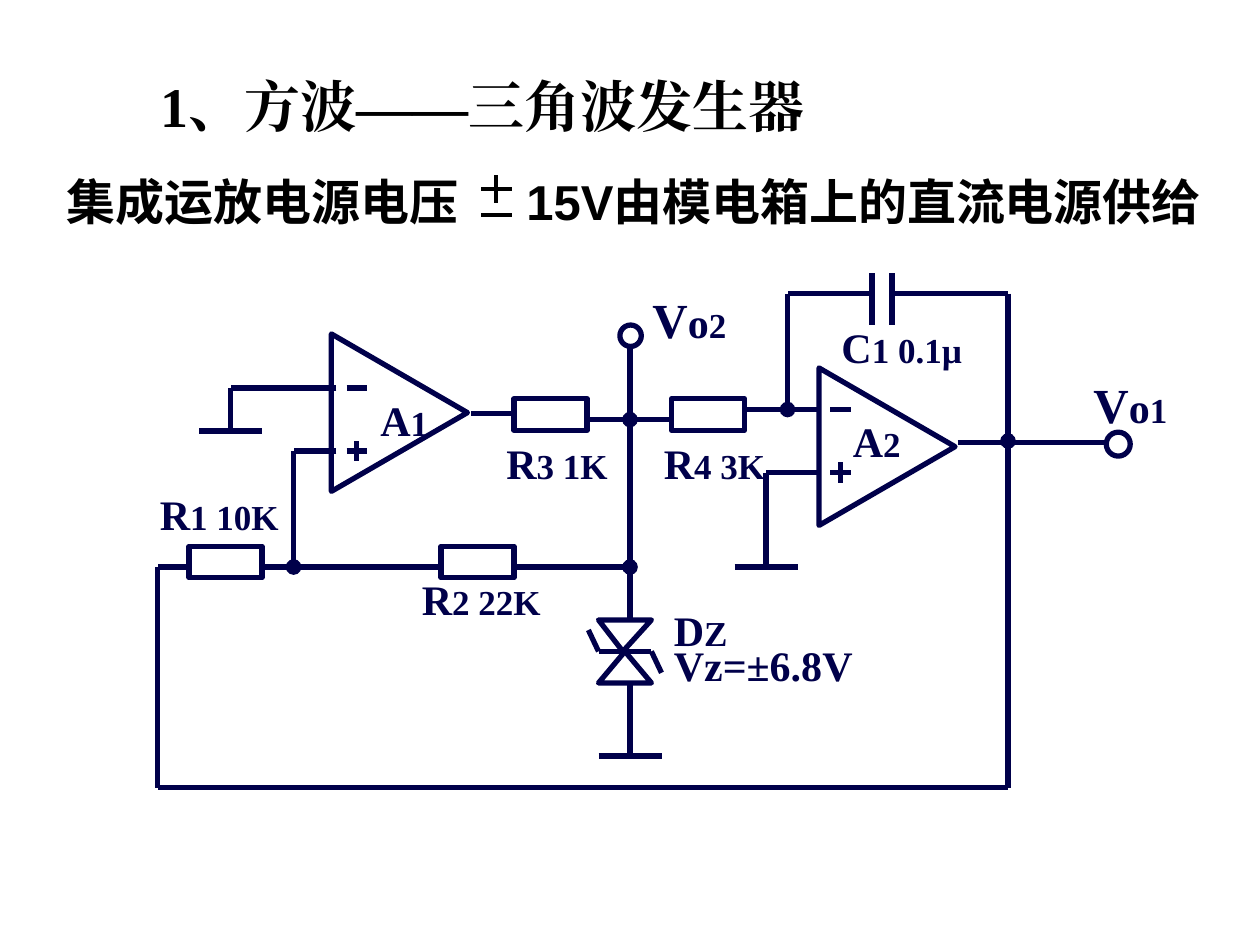
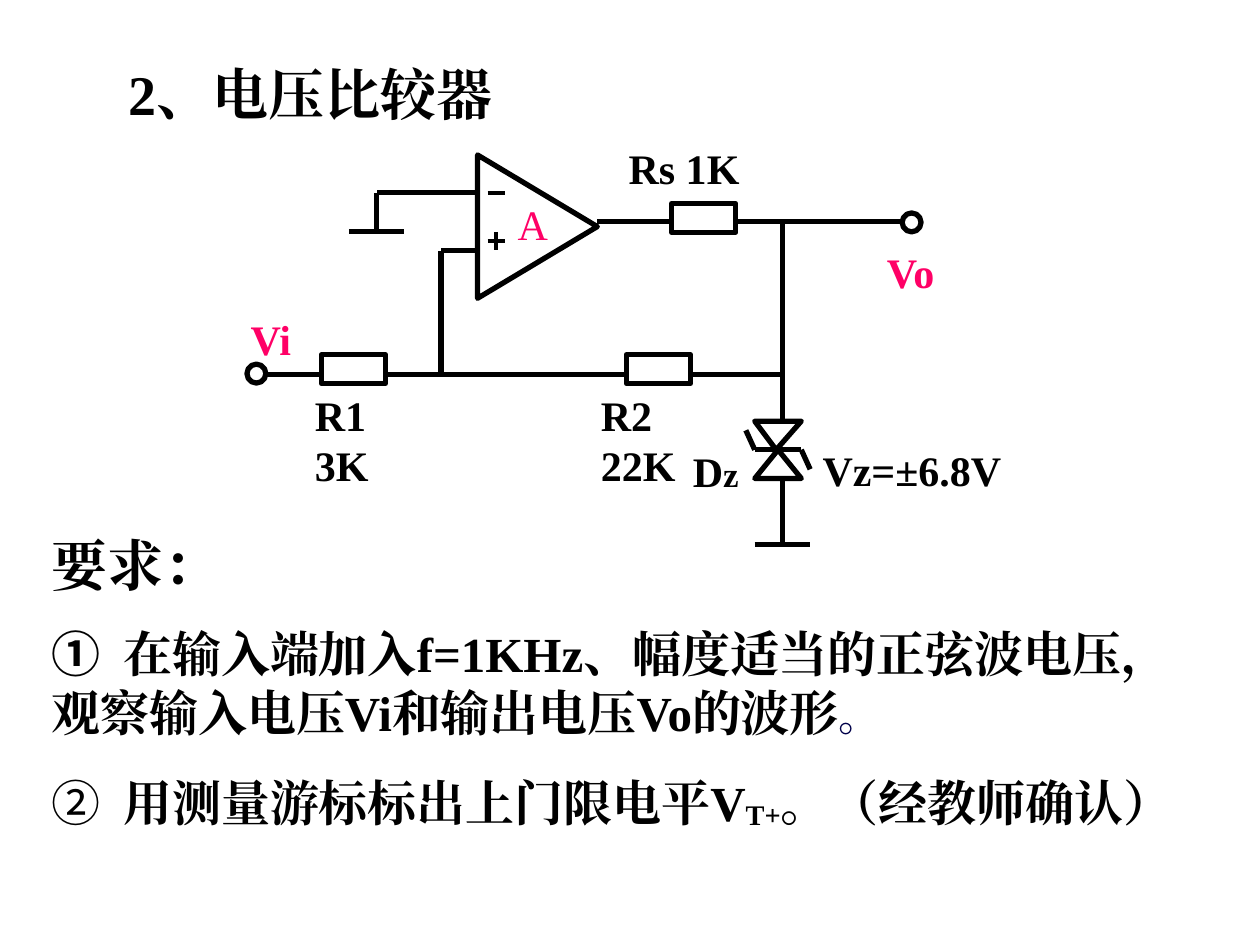
"""Build two slides of op-amp circuits: a waveform generator and a voltage comparator."""
import itertools

import lxml.etree
import pptx
import pptx.dml.color
import pptx.enum.shapes
import pptx.enum.text
import pptx.oxml.ns
import pptx.util

Inches = pptx.util.Inches
SHAPES = pptx.enum.shapes.MSO_SHAPE

NAVY, BLACK, PINK = "00004A", "000000", "FF0066"
SERIF, SANS, CHINESE = "Times New Roman", "Arial", "Noto Sans CJK SC"
LINE_WIDTH = 3

AMPLIFIER = (1.08, 1.25)
RESISTOR = (0.58, 0.25)
ZENER = (0.42, 0.25)
ZENER_HOOK = (0.08, 0.17)
GROUND_HALF = 0.25
SIGN_HALF = 0.08

GENERATOR = {
    "title": ("1、方波——三角波发生器", (1.17, 0.52, 5.8, 0.64)),
    "ink": NAVY,
    "scale": (1, 1),
    "sign_width": 3,
    "amplifiers": [
        {"corner": (2.63, 2.65), "sign_x": 2.83, "minus_y": 3.08, "plus_y": 3.58},
        {"corner": (6.5, 2.92), "sign_x": 6.67, "minus_y": 3.25, "plus_y": 3.75},
    ],
    "resistors": [(1.5, 4.46), (3.5, 4.46), (4.08, 3.29), (5.33, 3.29)],
    "zener": (4.75, 5.17),
    "grounds": [(1.83, 3.42), (6.08, 4.5), (5, 6)],
    "terminals": [(8.78, 3.43, 0.19), (4.92, 2.58, 0.17)],
    "wires": [
        [(2.67, 3.08), (1.83, 3.08), (1.83, 3.42)],
        [(3.74, 3.28), (4.07, 3.28)],
        [(4.67, 3.33), (5.33, 3.33)],
        [(5, 3.33), (5, 4.92)],
        [(2.08, 4.5), (3.5, 4.5)],
        [(1.5, 4.5), (1.25, 4.5), (1.25, 6.25), (8, 6.25), (8, 3.51)],
        [(5, 5.42), (5, 6)],
        [(5.92, 3.25), (6.5, 3.25)],
        [(7.6, 3.51), (8.77, 3.51)],
        [(6.5, 3.75), (6.08, 3.75), (6.08, 4.5)],
        [(6.92, 2.17), (6.92, 2.58)],
        [(7.08, 2.17), (7.08, 2.58)],
    ],
    "junction_wires": [
        [(2.67, 3.58), (2.33, 3.58), (2.33, 4.5)],
        [(4.08, 4.5), (5, 4.5)],
        [(5, 2.75), (5, 3.33)],
        [(6.92, 2.33), (6.25, 2.33), (6.25, 3.25)],
        [(7.08, 2.33), (8, 2.33), (8, 3.5)],
    ],
    "labels": [
        ((8.58, 2.92, 0.92, 0.57), NAVY, [("V", 28), ("o", 24), ("1", 20)]),
        ((5.08, 2.25, 0.92, 0.57), NAVY, [("V", 28), ("o", 24), ("2", 20)]),
        ((2.92, 3.08, 0.75, 0.5), NAVY, [("A", 24), ("1", 20)]),
        ((6.67, 3.25, 0.75, 0.5), NAVY, [("A", 24), ("2", 20)]),
        ((6.58, 2.5, 1.42, 0.5), NAVY, [("C", 24), ("1 0.1µ", 20)]),
        ((1.17, 3.83, 1.5, 0.5), NAVY, [("R", 24), ("1 10K", 20)]),
        ((3.25, 4.5, 1.5, 0.5), NAVY, [("R", 24), ("2 22K", 20)]),
        ((3.92, 3.42, 1.5, 0.5), NAVY, [("R", 24), ("3 1K", 20)]),
        ((5.17, 3.42, 1.5, 0.5), NAVY, [("R", 24), ("4 3K", 20)]),
        ((5.25, 4.75, 0.75, 0.5), NAVY, [("D", 24), ("Z", 20)]),
        ((5.25, 5.03, 1.8, 0.5), NAVY, [("Vz=±6.8V", 24)]),
    ],
}

COMPARATOR = {
    "title": ("2、电压比较器", (0.92, 0.42, 5.67, 0.64)),
    "ink": BLACK,
    "scale": (0.88, 0.91),
    "sign_width": 2.25,
    "amplifiers": [
        {"corner": (3.79, 1.23), "sign_x": 3.94, "minus_y": 1.53, "plus_y": 1.91},
    ],
    "resistors": [(2.55, 2.93), (4.97, 2.93), (5.33, 1.73)],
    "zener": (5.99, 3.57),
    "grounds": [(2.99, 1.84), (6.21, 4.32)],
    "terminals": [(7.16, 1.69, 0.15), (1.96, 2.89, 0.15)],
    "wires": [
        [(3.79, 1.53), (2.99, 1.53), (2.99, 1.84)],
        [(3.79, 1.99), (3.5, 1.99), (3.5, 2.97)],
        [(4.74, 1.76), (5.33, 1.76)],
        [(5.84, 1.76), (7.16, 1.76)],
        [(6.21, 1.76), (6.21, 3.34)],
        [(2.11, 2.97), (2.55, 2.97)],
        [(3.06, 2.97), (4.97, 2.97)],
        [(5.48, 2.97), (6.21, 2.97)],
        [(6.21, 3.8), (6.21, 4.32)],
    ],
    "junction_wires": [],
    "labels": [
        ((4.01, 1.53, 0.5, 0.5), PINK, [("A", 24, {"bold": False})]),
        ((1.89, 2.44, 0.59, 0.5), PINK, [("Vi", 24)]),
        ((6.94, 1.91, 0.72, 0.5), PINK, [("Vo", 24)]),
        ((4.67, 3.04, 1.24, 0.9), BLACK, [("R2 22K", 24)]),
        ((4.89, 1.08, 1.28, 0.5), BLACK, [("Rs 1K", 24)]),
        ((2.4, 3.04, 0.95, 0.9), BLACK, [("R1 3K", 24)]),
        ((6.43, 3.48, 1.74, 0.5), BLACK, [("Vz=±6.8V", 24)]),
        ((5.4, 3.49, 0.66, 0.5), BLACK, [("D", 24), ("z", 20)]),
    ],
}

SUPPLY_BOX = (0.43, 1.31, 9.45, 0.57)
SUPPLY_TAB = 3.65
SUPPLY = [("集成运放电源电压\t15V由模电箱上的直流电源供给", 28, {"name": SANS})]
PLUS_MINUS = [
    [(3.82, 1.5), (4.06, 1.5)],
    [(3.94, 1.39), (3.94, 1.61)],
    [(3.82, 1.71), (4.06, 1.71)],
]

TASKS_BOX = (0.31, 4.16, 9.3, 2.49)
TASKS_TAB = 0.57
TASKS = [
    (0, [("要求：", 32)]),
    (15, [
        ("①", 28, {"name": CHINESE}),
        ("\t在输入端加入f=1KHz、幅度适当的正弦波电压，观察输入电压Vi和输出电压Vo的波形", 28),
        ("。", 24, {"bold": False, "color": NAVY}),
    ]),
    (17.5, [
        ("②", 28, {"name": CHINESE, "bold": False}),
        ("\t用测量游标标出上门限电平V", 28),
        ("T+", 28, {"baseline": -10}),
        ("。（经教师确认）", 28),
    ]),
]


def rgb(color):
    """Turn a hex string into a colour."""
    return pptx.dml.color.RGBColor.from_string(color)


def add_element(parent, tag, **attributes):
    """Append a drawing element to its parent."""
    return lxml.etree.SubElement(parent, pptx.oxml.ns.qn(tag), attributes)


def add_run(paragraph, text, size, color, name=SERIF, bold=True, baseline=0):
    """Add one formatted run, with the same typeface for both scripts."""
    run = paragraph.add_run()
    run.text = text
    run.font.size = pptx.util.Pt(size)
    run.font.bold = bold
    run.font.color.rgb = rgb(color)
    run.font.name = name
    properties = run._r.get_or_add_rPr()
    add_element(properties, "a:ea", typeface=name)
    if baseline:
        properties.set("baseline", str(baseline * 1000))


def fill_paragraph(paragraph, runs, color, tab=None):
    """Set the tab stop and add the runs."""
    if tab:
        stops = add_element(paragraph._p.get_or_add_pPr(), "a:tabLst")
        add_element(stops, "a:tab", pos=str(Inches(tab)), algn="l")
    for text, size, *options in runs:
        add_run(paragraph, text, size, **{"color": color, **(options[0] if options else {})})


def add_text(slide, box, color, paragraphs, tab=None):
    """Add a wrapped text box of (space before, runs) paragraphs."""
    frame = slide.shapes.add_textbox(*map(Inches, box)).text_frame
    frame.word_wrap = True
    for index, (space, runs) in enumerate(paragraphs):
        paragraph = frame.add_paragraph() if index else frame.paragraphs[0]
        fill_paragraph(paragraph, runs, color, tab)
        if space:
            paragraph.space_before = pptx.util.Pt(space)


def add_title(slide, text, box):
    """Place and fill the title placeholder."""
    title = slide.shapes.title
    title.left, title.top, title.width, title.height = map(Inches, box)
    title.text_frame.vertical_anchor = pptx.enum.text.MSO_ANCHOR.TOP
    paragraph = title.text_frame.paragraphs[0]
    paragraph.alignment = pptx.enum.text.PP_ALIGN.LEFT
    fill_paragraph(paragraph, [(text, 32)], BLACK)


def add_wire(slide, points, ink, width=LINE_WIDTH, junction=False):
    """Join the points by straight lines, with a dot at the end of a junction wire."""
    for start, end in itertools.pairwise(points):
        connector = slide.shapes.add_connector(
            pptx.enum.shapes.MSO_CONNECTOR.STRAIGHT, *map(Inches, start + end))
        connector.line.color.rgb = rgb(ink)
        connector.line.width = pptx.util.Pt(width)
        if junction and end == points[-1]:
            add_element(connector.line._get_or_add_ln(), "a:tailEnd", type="oval")
        add_element(connector._element.spPr, "a:effectLst")


def add_outline(slide, kind, box, ink, rotation=0):
    """Add an unfilled preset shape."""
    shape = slide.shapes.add_shape(kind, *map(Inches, box))
    shape.shadow.inherit = False
    shape.fill.background()
    shape.line.color.rgb = rgb(ink)
    shape.line.width = pptx.util.Pt(LINE_WIDTH)
    shape.rotation = rotation
    return shape


def add_amplifier(slide, circuit, corner, sign_x, minus_y, plus_y):
    """Draw an amplifier pointing right, with its input signs."""
    (left, top), (scale_x, scale_y) = corner, circuit["scale"]
    width, height = AMPLIFIER[0] * scale_x, AMPLIFIER[1] * scale_y
    shift = (height - width) / 2
    add_outline(slide, SHAPES.ISOSCELES_TRIANGLE,
                (left - shift, top + shift, height, width), circuit["ink"], 90)
    half = SIGN_HALF * scale_x
    for points in (
        [(sign_x - half, minus_y), (sign_x + half, minus_y)],
        [(sign_x - half, plus_y), (sign_x + half, plus_y)],
        [(sign_x, plus_y - half), (sign_x, plus_y + half)],
    ):
        add_wire(slide, points, circuit["ink"], circuit["sign_width"])


def add_zener(slide, circuit):
    """Draw a two-way zener diode around its middle line."""
    (left, middle), (scale_x, scale_y) = circuit["zener"], circuit["scale"]
    width, height = ZENER[0] * scale_x, ZENER[1] * scale_y
    hook_x, hook_y = ZENER_HOOK[0] * scale_x, ZENER_HOOK[1] * scale_y
    right = left + width
    add_outline(slide, SHAPES.ISOSCELES_TRIANGLE, (left, middle, width, height), circuit["ink"])
    upper = add_outline(slide, SHAPES.ISOSCELES_TRIANGLE,
                        (left, middle - height, width, height), circuit["ink"], 180)
    upper.adjustments[0] = 0.54
    add_wire(slide, [(left - hook_x, middle - hook_y), (left, middle), (right, middle),
                     (right + hook_x, middle + hook_y)], circuit["ink"])


def add_circuit(slide, circuit):
    """Draw the title, symbols, wires and labels of one circuit."""
    ink, (scale_x, scale_y) = circuit["ink"], circuit["scale"]
    add_title(slide, *circuit["title"])
    for amplifier in circuit["amplifiers"]:
        add_amplifier(slide, circuit, **amplifier)
    width, height = RESISTOR[0] * scale_x, RESISTOR[1] * scale_y
    for left, middle in circuit["resistors"]:
        add_outline(slide, SHAPES.RECTANGLE, (left, middle - height / 2, width, height), ink)
    add_zener(slide, circuit)
    half = GROUND_HALF * scale_x
    for center, level in circuit["grounds"]:
        add_wire(slide, [(center - half, level), (center + half, level)], ink)
    for left, top, size in circuit["terminals"]:
        add_outline(slide, SHAPES.OVAL, (left, top, size, size), ink)
    for points in circuit["wires"]:
        add_wire(slide, points, ink)
    for points in circuit["junction_wires"]:
        add_wire(slide, points, ink, junction=True)
    for box, color, runs in circuit["labels"]:
        add_text(slide, box, color, [(0, runs)])


def main():
    """Build and save the presentation."""
    presentation = pptx.Presentation()
    presentation.slide_width, presentation.slide_height = Inches(10), Inches(7.5)
    title_only = presentation.slide_layouts[5]

    generator = presentation.slides.add_slide(title_only)
    add_circuit(generator, GENERATOR)
    add_text(generator, SUPPLY_BOX, BLACK, [(0, SUPPLY)], SUPPLY_TAB)
    for points in PLUS_MINUS:
        add_wire(generator, points, BLACK, 2.25)

    comparator = presentation.slides.add_slide(title_only)
    add_circuit(comparator, COMPARATOR)
    add_text(comparator, TASKS_BOX, BLACK, TASKS, TASKS_TAB)

    presentation.save("out.pptx")


if __name__ == "__main__":
    main()
